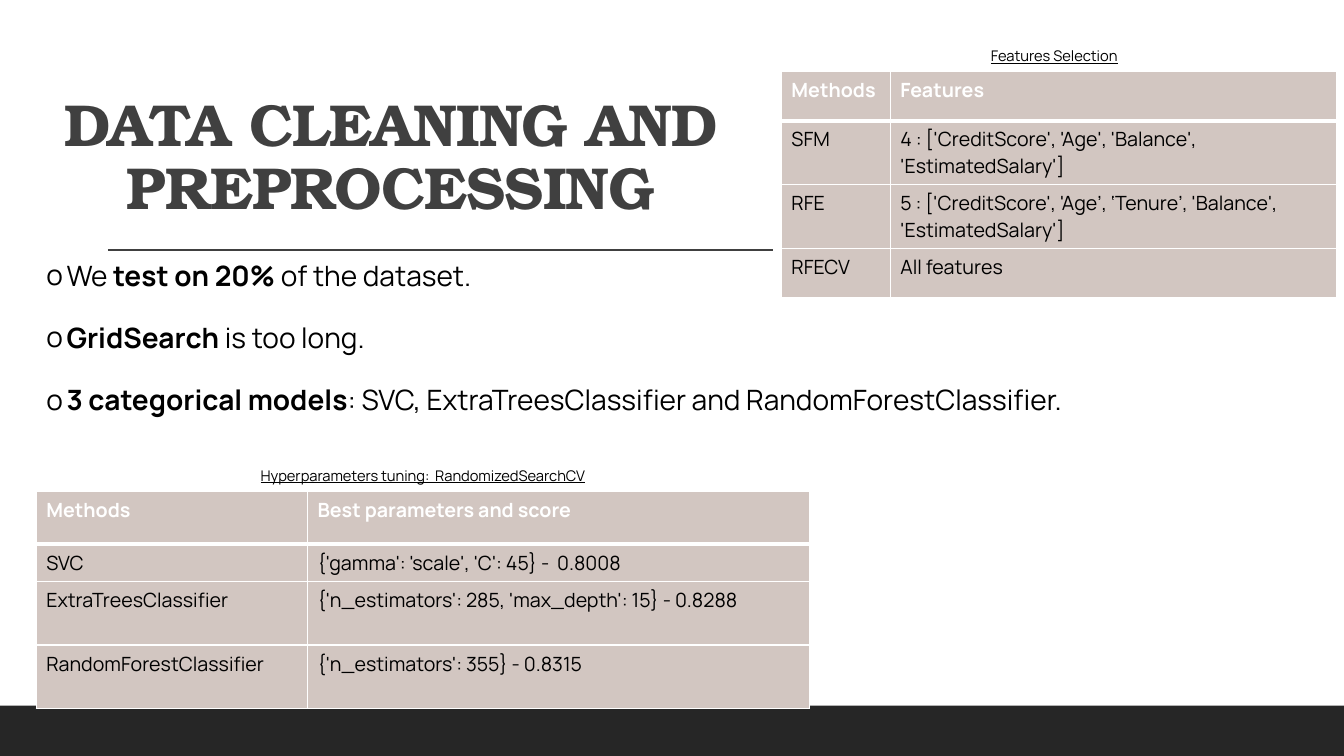
import pptx
import pptx.util
import pptx.dml.color
import pptx.enum.shapes
import pptx.enum.text
import pptx.oxml
import pptx.oxml.ns
from dataclasses import dataclass
from lxml import etree

Inches = pptx.util.Inches
Pt = pptx.util.Pt
ALIGN = pptx.enum.text.PP_ALIGN
ANCHOR = pptx.enum.text.MSO_ANCHOR
AUTO_SIZE = pptx.enum.text.MSO_AUTO_SIZE


@dataclass(frozen=True)
class Theme:
    heading_font: str = "TeX Gyre Bonum"
    body_font: str = "Manrope"
    white: str = "FFFFFF"
    black: str = "000000"
    heading: str = "404040"
    band: str = "262626"
    cell: str = "D2C6C1"
    title_size: float = 42.3
    list_size: float = 20
    table_size: float = 14
    caption_size: float = 10.5


THEME = Theme()


def rgb(code):
    return pptx.dml.color.RGBColor.from_string(code)


def add_text(para, text, size, font=THEME.body_font, color=THEME.black,
             bold=False, underline=False, tracking=None):
    span = para.add_run()
    span.text = text
    span.font.name = font
    span.font.size = Pt(size)
    span.font.color.rgb = rgb(color)
    span.font.bold = bold
    span.font.underline = underline
    if tracking is not None:
        span.font._element.set("spc", str(int(tracking * 100)))


def place(shape, box):
    shape.left, shape.top, shape.width, shape.height = map(Inches, box)


def add_title(page, box, text):
    title = page.shapes.title
    place(title, box)
    frame = title.text_frame
    frame.auto_size = AUTO_SIZE.NONE
    frame.word_wrap = True
    frame.vertical_anchor = ANCHOR.BOTTOM
    para = frame.paragraphs[0]
    para.alignment = ALIGN.CENTER
    para.line_spacing = 0.9
    add_text(para, text, THEME.title_size, font=THEME.heading_font,
             color=THEME.heading, bold=True, tracking=-0.5)


def add_rule(page, left, top, width):
    rule = page.shapes.add_connector(
        pptx.enum.shapes.MSO_CONNECTOR.STRAIGHT,
        Inches(left), Inches(top), Inches(left + width), Inches(top))
    rule.line.color.rgb = rgb(THEME.heading)
    rule.line.width = Pt(1)
    etree.SubElement(rule._element.spPr, pptx.oxml.ns.qn("a:effectLst"))


def add_band(page, box):
    band = page.shapes.add_shape(pptx.enum.shapes.MSO_SHAPE.RECTANGLE, *map(Inches, box))
    band.shadow.inherit = False
    band.fill.solid()
    band.fill.fore_color.rgb = rgb(THEME.band)
    band.line.fill.background()


def add_bullet(para, mark, indent):
    props = para._p.get_or_add_pPr()
    props.set("marL", str(Inches(indent)))
    props.set("indent", str(-Inches(indent)))
    font = etree.SubElement(props, pptx.oxml.ns.qn("a:buFont"))
    font.set("typeface", THEME.body_font)
    etree.SubElement(props, pptx.oxml.ns.qn("a:buChar")).set("char", mark)


def add_list(page, box, items):
    """Each item is a list of (text, bold) pairs."""
    body = page.placeholders[1]
    place(body, box)
    frame = body.text_frame
    frame.auto_size = AUTO_SIZE.NONE
    frame.word_wrap = True
    frame.vertical_anchor = ANCHOR.TOP
    for index, item in enumerate(items):
        para = frame.add_paragraph() if index else frame.paragraphs[0]
        add_bullet(para, "o", 0.2)
        para.alignment = ALIGN.LEFT
        para.line_spacing = 1.0
        para.space_before = Pt(20.5 if index else 0)
        for text, bold in item:
            add_text(para, text, THEME.list_size, bold=bold)


def add_caption(page, box, text, align):
    caption = page.shapes.add_textbox(*map(Inches, box))
    frame = caption.text_frame
    frame.word_wrap = False
    para = frame.paragraphs[0]
    para.alignment = align
    add_text(para, text, THEME.caption_size, underline=True)


def set_borders(cell, widths):
    """Widths in points, in the order left, right, top, bottom."""
    props = cell._tc.get_or_add_tcPr()
    for index, (side, width) in enumerate(zip("LRTB", widths)):
        border = etree.Element(pptx.oxml.ns.qn("a:ln" + side), w=str(Pt(width)))
        fill = etree.SubElement(border, pptx.oxml.ns.qn("a:solidFill"))
        etree.SubElement(fill, pptx.oxml.ns.qn("a:srgbClr"), val=THEME.white)
        props.insert(index, border)


def add_method_table(page, left, top, widths, heights, rows):
    frame = page.shapes.add_table(
        len(rows), len(widths), Inches(left), Inches(top),
        Inches(sum(widths)), Inches(sum(heights)))
    table = frame.table
    table.horz_banding = False
    for column, width in zip(table.columns, widths):
        column.width = Inches(width)
    for row_index, (row, height) in enumerate(zip(rows, heights)):
        table.rows[row_index].height = Inches(height)
        header = row_index == 0
        for column_index, text in enumerate(row):
            cell = table.cell(row_index, column_index)
            cell.fill.solid()
            cell.fill.fore_color.rgb = rgb(THEME.cell)
            set_borders(cell, (1, 1, 3 if row_index == 1 else 1, 3 if header else 1))
            add_text(cell.text_frame.paragraphs[0], text, THEME.table_size,
                     color=THEME.white if header else THEME.black, bold=header)


def add_preprocessing_slide(deck):
    page = deck.slides.add_slide(deck.slide_layouts[1])
    page.background.fill.solid()
    page.background.fill.fore_color.rgb = rgb(THEME.white)

    # Heading and footer band
    add_title(page, (0.36, 0.67, 7.03, 1.59), "DATA CLEANING AND PREPROCESSING")
    add_rule(page, 1.07, 2.48, 6.6)
    add_band(page, (0, 7, 13.33, 0.5))

    # Feature selection table
    add_method_table(page, 7.75, 0.71, (1.08, 4.43), (0.49, 0.63, 0.63, 0.49), [
        ("Methods", "Features"),
        ("SFM", "4 : ['CreditScore', 'Age', 'Balance', 'EstimatedSalary']"),
        ("RFE", "5 : ['CreditScore', 'Age’, ‘Tenure’, 'Balance', 'EstimatedSalary']"),
        ("RFECV", "All features"),
    ])

    # Hyperparameter table
    add_method_table(page, 0.36, 4.88, (2.69, 4.98), (0.52, 0.37, 0.63, 0.63), [
        ("Methods", "Best parameters and score"),
        ("SVC", "{'gamma': 'scale', 'C': 45} -  0.8008"),
        ("ExtraTreesClassifier", "{'n_estimators': 285, 'max_depth': 15} - 0.8288"),
        ("RandomForestClassifier", "{'n_estimators': 355} - 0.8315"),
    ])

    # Key points
    add_list(page, (0.36, 2.51, 11.07, 2.09), [
        [("We ", False), ("test on 20% ", True), ("of the dataset.", False)],
        [("GridSearch ", True), ("is too long.", False)],
        [("3 categorical models", True),
         (": SVC, ExtraTreesClassifier and RandomForestClassifier.", False)],
    ])

    # Table captions
    add_caption(page, (9.73, 0.42, 1.55, 0.45), "Features Selection", ALIGN.LEFT)
    add_caption(page, (1.92, 4.58, 4.55, 0.45),
                "Hyperparameters tuning:  RandomizedSearchCV", ALIGN.CENTER)


def main():
    deck = pptx.Presentation()
    deck.slide_width = Inches(13.33)
    deck.slide_height = Inches(7.5)
    add_preprocessing_slide(deck)
    deck.save("out.pptx")


if __name__ == "__main__":
    main()
